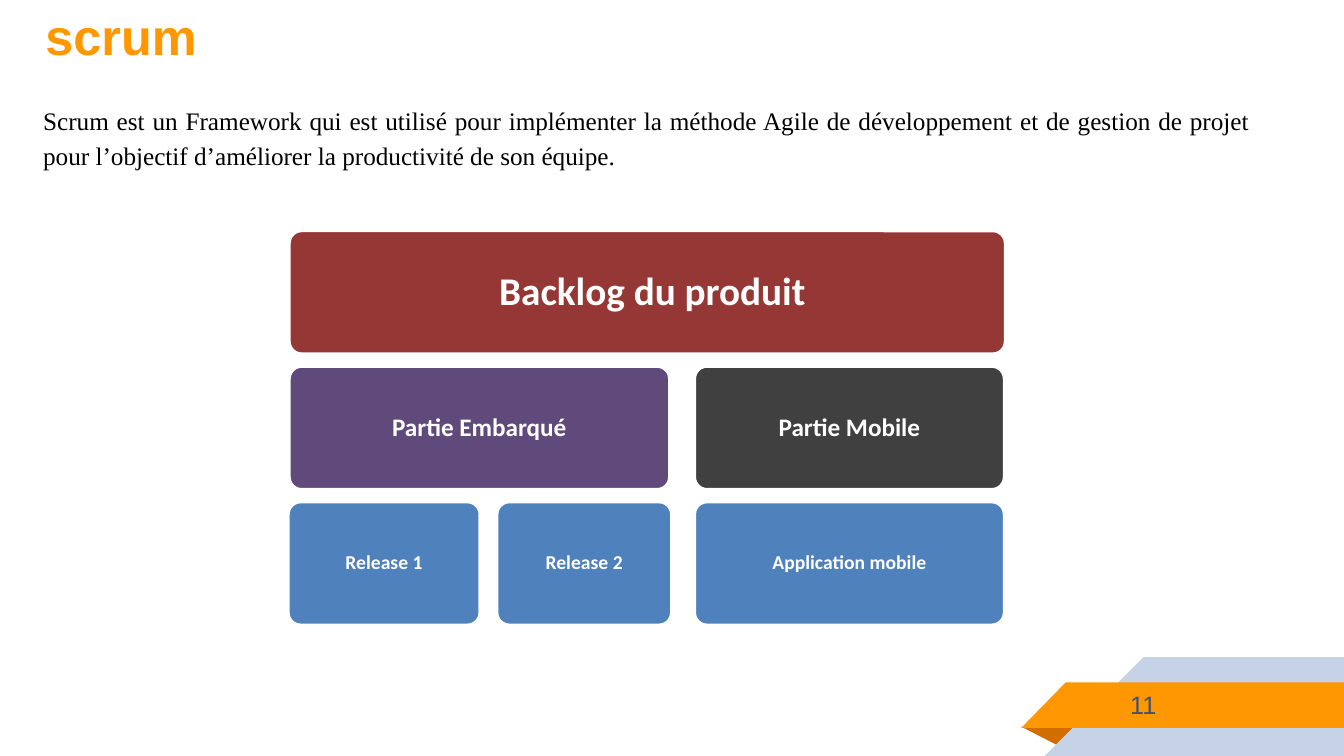
"""Build the Scrum slide: a product backlog split into parts and releases."""
from pptx import Presentation
from pptx.dml.color import RGBColor
from pptx.enum.shapes import MSO_SHAPE
from pptx.enum.text import MSO_ANCHOR, PP_ALIGN
from pptx.util import Inches, Pt

ROUNDED = MSO_SHAPE.ROUNDED_RECTANGLE
TOP, MIDDLE = MSO_ANCHOR.TOP, MSO_ANCHOR.MIDDLE
LEFT, CENTER, JUSTIFY = PP_ALIGN.LEFT, PP_ALIGN.CENTER, PP_ALIGN.JUSTIFY

THEME = {
    "orange": "FF9700", "shade": "D26E00", "pale": "C6D2E6", "navy": "3E5278",
    "red": "953735", "purple": "604A7B", "grey": "404040", "blue": "4F81BD",
    "white": "FFFFFF", "black": "000000",
    "title": 36, "body": 18, "product": 28, "part": 18, "release": 14,
    "sans": "Arial", "serif": "Times New Roman", "box": "Calibri",
}
WIDTH, HEIGHT = 13.33, 7.5


def color(name):
    return RGBColor.from_string(THEME[name])


def write(shape, text, font, size, ink, bold, anchor, margins, **layout):
    frame = shape.text_frame
    frame.word_wrap = True
    frame.vertical_anchor = anchor
    for side, margin in zip(("left", "top", "right", "bottom"), margins):
        setattr(frame, f"margin_{side}", Inches(margin))
    paragraph = frame.paragraphs[0]
    for name, value in layout.items():
        setattr(paragraph, name, value)
    run = paragraph.add_run()
    run.text = text
    for name, value in {"name": THEME[font], "size": Pt(THEME[size]), "bold": bold}.items():
        setattr(run.font, name, value)
    run.font.color.rgb = color(ink)


presentation = Presentation()
presentation.slide_width, presentation.slide_height = Inches(WIDTH), Inches(HEIGHT)
slide = presentation.slides.add_slide(presentation.slide_layouts[6])

ribbons = [
    ("shade", [(10.7, 7.21), (10.13, 7.21), (10.52, 7.41)]),
    ("pale", [(WIDTH, 6.52), (11.34, 6.52), (10.36, HEIGHT), (WIDTH, HEIGHT)]),
    ("orange", [(WIDTH, 6.77), (10.57, 6.77), (10.13, 7.22), (WIDTH, 7.22)]),
]
for fill, points in ribbons:
    corners = [(Inches(x), Inches(y)) for x, y in points]
    builder = slide.shapes.build_freeform(*corners[0])
    builder.add_line_segments(corners[1:], close=True)
    ribbon = builder.convert_to_shape()
    ribbon.shadow.inherit = False
    ribbon.fill.solid()
    ribbon.fill.fore_color.rgb = color(fill)
    ribbon.line.fill.background()

default_margins = (0.1, 0.05, 0.1, 0.05)
texts = [
    ("11", (11.17, 6.85, 0.36, 0.31), ("sans", "body", "navy", False), (0.04, 0, 0, 0),
     {"alignment": LEFT, "line_spacing": Pt(20.9)}),
    ("scrum", (0.33, 0, 6.66, 0.71), ("sans", "title", "orange", True), (0.12, 0.05, 0.1, 0.05),
     {"alignment": LEFT, "space_before": Pt(1)}),
    ("Scrum est un Framework qui est utilisé pour implémenter la méthode Agile de développement "
     "et de gestion de projet pour l’objectif d’améliorer la productivité de son équipe.",
     (0.33, 0.95, 12.17, 0.77), ("serif", "body", "black", False), default_margins,
     {"alignment": JUSTIFY, "line_spacing": 1.15, "space_after": Pt(8)}),
]
for text, place, style, margins, layout in texts:
    box = slide.shapes.add_textbox(*map(Inches, place))
    write(box, text, *style, TOP, margins, **layout)

BACKLOG_TOP, ROW_PITCH, BOX_HEIGHT = 2.29, 1.345, 1.22
MOBILE_LEFT, MOBILE_WIDTH = 6.89, 3.07
backlog_rows = [
    ("product", (0.22, 0.12, 0.12, 0.12), [("Backlog du produit", 2.87, 7.1, "red")]),
    ("part", (0.1,) * 4, [("Partie Embarqué", 2.87, 3.77, "purple"),
                          ("Partie Mobile", MOBILE_LEFT, MOBILE_WIDTH, "grey")]),
    ("release", (0.1,) * 4, [("Release 1", 2.86, 1.9, "blue"),
                             ("Release 2", 4.93, 1.73, "blue"),
                             ("Application mobile", MOBILE_LEFT, MOBILE_WIDTH, "blue")]),
]
for row, (size, margins, boxes) in enumerate(backlog_rows):
    top = BACKLOG_TOP + row * ROW_PITCH
    for text, left, width, fill in boxes:
        box = slide.shapes.add_shape(ROUNDED, *map(Inches, (left, top, width, BOX_HEIGHT)))
        box.adjustments[0] = 0.1
        box.shadow.inherit = False
        box.fill.solid()
        box.fill.fore_color.rgb = color(fill)
        box.line.color.rgb = color("white")
        box.line.width = Pt(2)
        write(box, text, "box", size, "white", True, MIDDLE, margins,
              alignment=CENTER, line_spacing=0.9)

presentation.save("out.pptx")
